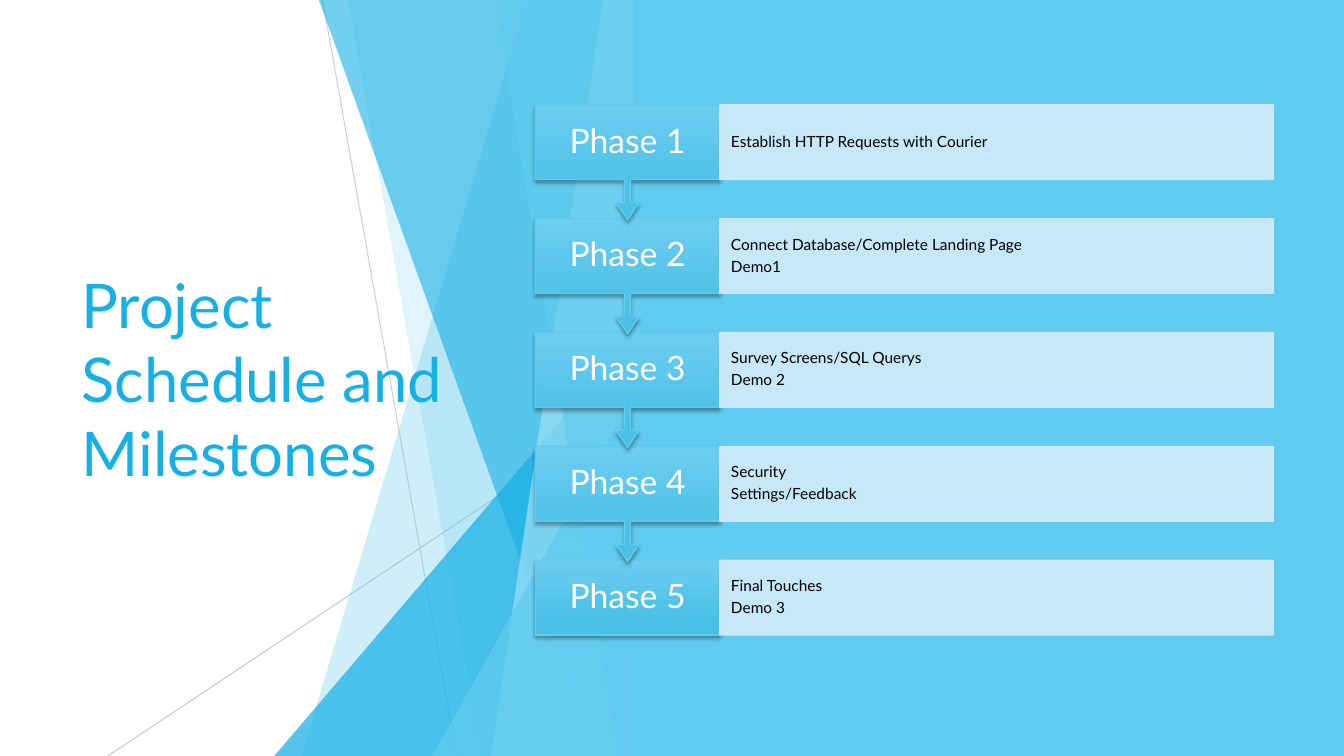
from pptx import Presentation
from pptx.dml.color import RGBColor
from pptx.enum.shapes import MSO_CONNECTOR as LINK, MSO_SHAPE as SHAPE
from pptx.enum.text import MSO_ANCHOR as ANCHOR, PP_ALIGN as ALIGN
from pptx.oxml import parse_xml
from pptx.oxml.ns import nsdecls, qn
from pptx.util import Inches, Pt

FONT = "Lato"
SKY, BLUE, PALE = "5FCBEF", "17B0E4", "D2ECF9"
EDGE = 6.28
PHASES = [
    ["Establish HTTP Requests with Courier"],
    ["Connect Database/Complete Landing Page", "Demo1"],
    ["Survey Screens/SQL Querys", "Demo 2"],
    ["Security", "Settings/Feedback"],
    ["Final Touches", "Demo 3"],
]


def tint(code):
    return RGBColor.from_string(code)


def fade(shape, alpha):
    for color in shape.element.spPr.iter(qn("a:srgbClr")):
        color.append(parse_xml(f'<a:alpha {nsdecls("a")} val="{alpha * 1000}"/>'))


def paint(shape, color, alpha=100, edge=False):
    shape.fill.solid()
    shape.fill.fore_color.rgb = tint(color)
    if edge:
        shape.line.color.rgb = tint(color)
        shape.line.width = Pt(1)
    else:
        shape.line.fill.background()
    shape.shadow.inherit = False
    if alpha < 100:
        fade(shape, alpha)


def add_box(slide, kind, left, top, width, height):
    return slide.shapes.add_shape(
        kind, Inches(left), Inches(top), Inches(width), Inches(height))


def add_ray(slide, start, end, alpha):
    points = [Inches(n) for n in (*start, *end)]
    ray = slide.shapes.add_connector(LINK.STRAIGHT, *points)
    ray.line.color.rgb = tint("BFBFBF")
    ray.line.width = Pt(0.75)
    fade(ray, alpha)
    ray.element.spPr.append(parse_xml(f'<a:effectLst {nsdecls("a")}/>'))


def add_band(slide, upper, lower, color, alpha):
    top, base = Inches(-0.01), Inches(7.5)
    pen = slide.shapes.build_freeform(Inches(upper), top)
    pen.add_line_segments([
        (Inches(EDGE), top), (Inches(EDGE), base), (Inches(lower), base)])
    paint(pen.convert_to_shape(), color, alpha)


def add_peak(slide, left, top, color, alpha):
    peak = add_box(slide, SHAPE.ISOSCELES_TRIANGLE, left, top, EDGE - left, 7.5 - top)
    peak.adjustments[0] = 1
    paint(peak, color, alpha)


def write(shape, text, size, color, align=ALIGN.LEFT, inset=(0.1, 0.05), space=1.0, after=0):
    frame = shape.text_frame
    frame.word_wrap = True
    frame.vertical_anchor = ANCHOR.MIDDLE
    frame.margin_left = frame.margin_right = Inches(inset[0])
    frame.margin_top = frame.margin_bottom = Inches(inset[1])
    frame.text = text
    for para in frame.paragraphs:
        para.alignment = align
        para.line_spacing = space
        para.space_after = Pt(after)
        font = para.font
        font.name, font.size = FONT, Pt(size)
        font.color.rgb = tint(color)


def add_phase(slide, number, tasks):
    top = 1.04 + 1.13 * (number - 1)
    if number == len(PHASES):
        step = add_box(slide, SHAPE.RECTANGLE, 5.31, top, 1.83, 0.74)
    else:
        step = add_box(slide, SHAPE.DOWN_ARROW_CALLOUT, 5.31, top, 1.83, 1.14)
        for spot, value in enumerate((0.05, 0.1, 0.15, 0.65)):
            step.adjustments[spot] = value
    step.fill.gradient()
    step.fill.gradient_angle = 270
    for stop, place, color in zip(step.fill.gradient_stops, (0, 0.78), ("6CCDF0", "4BC0E6")):
        stop.position = place
        stop.color.rgb = tint(color)
    step.line.color.rgb = tint(SKY)
    step.line.width = Pt(1)
    step.shadow.inherit = False
    step.element.spPr.find(qn("a:effectLst")).append(parse_xml(
        f'<a:outerShdw {nsdecls("a")} blurRad="{Pt(3)}" dist="{Pt(2)}" dir="5400000" '
        'rotWithShape="0"><a:srgbClr val="000000"><a:alpha val="35000"/>'
        '</a:srgbClr></a:outerShdw>'))
    write(step, f"Phase {number}", 24, "FFFFFF", align=ALIGN.CENTER,
          inset=(0.13, 0.19), space=0.9, after=8.4)
    bar = add_box(slide, SHAPE.RECTANGLE, 7.14, top, 5.49, 0.74)
    paint(bar, PALE, 90, edge=True)
    write(bar, "\n".join(tasks), 11, "000000", inset=(0.11, 0.15), space=0.9, after=3.85)


def main():
    deck = Presentation()
    deck.slide_width, deck.slide_height = Inches(13.33), Inches(7.5)
    slide = deck.slides.add_slide(deck.slide_layouts[6])

    add_ray(slide, (3.2, 0), (4.53, 7.5), 75)
    add_ray(slide, (EDGE, 4.03), (1.07, 7.5), 80)
    add_band(slide, 5.23, 2.99, SKY, 30)
    add_band(slide, 3.45, 4.78, SKY, 20)
    add_peak(slide, 2.72, 3.33, BLUE, 72)
    add_band(slide, 3.16, 5.86, BLUE, 60)
    add_band(slide, 5.98, 4.87, "9FE0F5", 70)
    add_band(slide, 4.91, 6.13, SKY, 65)
    add_peak(slide, 4.29, 3.93, SKY, 80)

    title = slide.shapes.add_textbox(Inches(0.71), Inches(1.51), Inches(3.88), Inches(4.48))
    write(title, "Project Schedule and Milestones", 44, BLUE)
    paint(add_box(slide, SHAPE.RECTANGLE, EDGE, 0, 7.05, 7.5), SKY)

    for number, tasks in reversed(list(enumerate(PHASES, 1))):
        add_phase(slide, number, tasks)
    deck.save("out.pptx")


if __name__ == "__main__":
    main()
